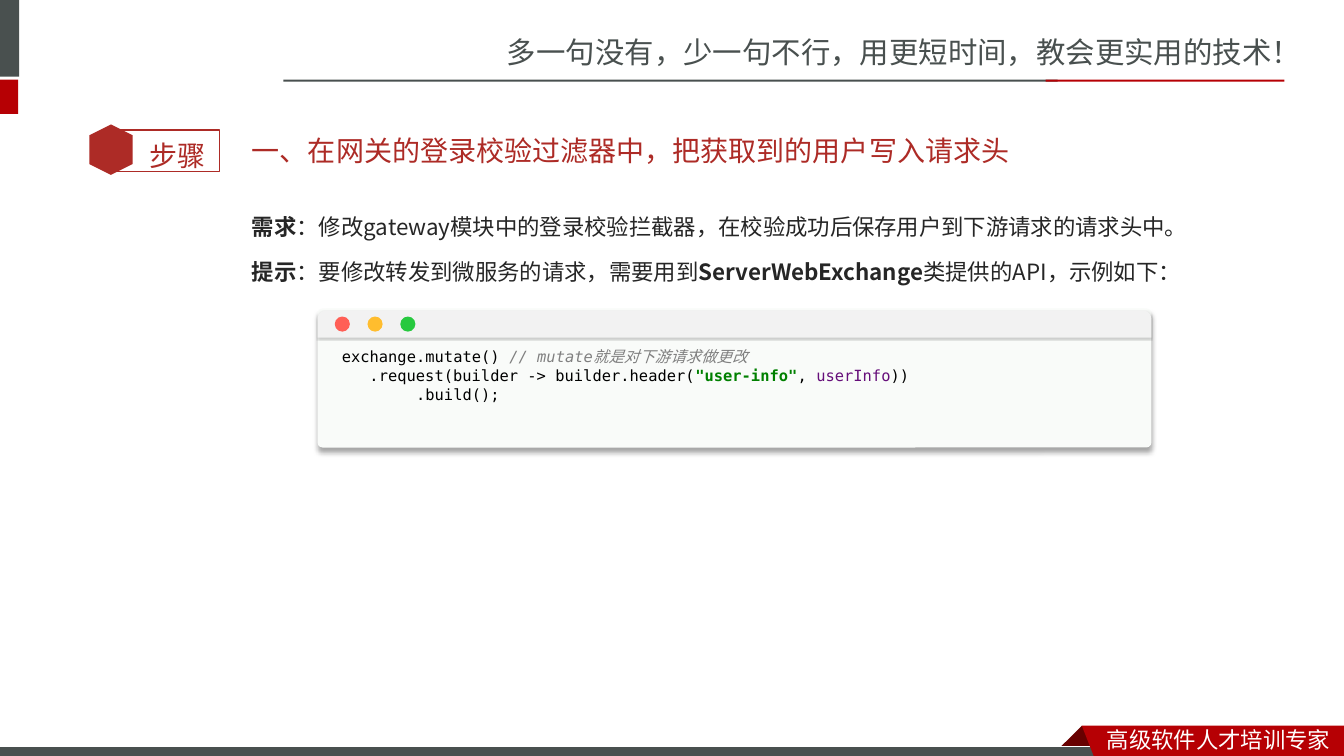
from dataclasses import dataclass
from typing import Optional

from lxml import etree
from pptx import Presentation
from pptx.dml.color import RGBColor
from pptx.enum.shapes import MSO_SHAPE
from pptx.enum.text import MSO_ANCHOR
from pptx.oxml.ns import qn
from pptx.util import Inches, Pt

RECT, ROUNDED = MSO_SHAPE.RECTANGLE, MSO_SHAPE.ROUNDED_RECTANGLE
TOP_ROUNDED, HEXAGON = MSO_SHAPE.ROUND_2_SAME_RECTANGLE, MSO_SHAPE.HEXAGON
OVAL = MSO_SHAPE.OVAL
TOP, MIDDLE = MSO_ANCHOR.TOP, MSO_ANCHOR.MIDDLE


@dataclass(frozen=True)
class Theme:
    slate: str = "49504F"
    red: str = "B60004"
    dark_red: str = "680000"
    brick: str = "AD2B26"
    white: str = "FFFFFF"
    ink: str = "262626"
    black: str = "000000"
    comment: str = "808080"
    string: str = "008000"
    variable: str = "660E7A"
    window: str = "F9FBF9"
    title_bar: str = "F2F2F2"
    buttons: tuple[str, ...] = ("FF5F56", "FFBD2E", "27C93F")
    sans: str = "Noto Sans CJK SC"
    body: str = "Noto Sans CJK JP"
    heading: str = "Calibri"
    label: str = "Lato"
    mono: str = "DejaVu Sans Mono"
    mono_comment: str = "Courier New"
    slogan_size: float = 21
    heading_size: float = 20
    body_size: float = 16
    code_size: float = 11


@dataclass(frozen=True)
class Box:
    left: float
    top: float
    width: float
    height: float


@dataclass(frozen=True)
class Shadow:
    alpha: int
    blur: float
    distance: float


@dataclass(frozen=True)
class Piece:
    """A stretch of text in one style; a line break may follow it."""
    text: str
    font: str
    size: float
    color: str
    bold: bool = False
    italic: bool = False
    east_asian: Optional[str] = None
    breaks: bool = False


THEME = Theme()


def add_shadow(shape, shadow: Shadow) -> None:
    effects = shape._element.spPr.find(qn("a:effectLst"))
    outer = etree.SubElement(effects, qn("a:outerShdw"), blurRad=str(Pt(shadow.blur)),
                             dist=str(Pt(shadow.distance)), dir="5400000",
                             algn="t", rotWithShape="0")
    color = etree.SubElement(outer, qn("a:srgbClr"), val=THEME.black)
    etree.SubElement(color, qn("a:alpha"), val=str(shadow.alpha * 1000))


def paint(shape, fill: Optional[str], line: Optional[str] = None,
          line_width: float = 1) -> None:
    shape.shadow.inherit = False
    if fill:
        shape.fill.solid()
        shape.fill.fore_color.rgb = RGBColor.from_string(fill)
    else:
        shape.fill.background()
    if line:
        shape.line.color.rgb = RGBColor.from_string(line)
        shape.line.width = Pt(line_width)
    else:
        shape.line.fill.background()


def draw(slide, preset, box: Box, fill: Optional[str], line: Optional[str] = None,
         line_width: float = 1, shadow: Optional[Shadow] = None):
    shape = slide.shapes.add_shape(preset, Inches(box.left), Inches(box.top),
                                   Inches(box.width), Inches(box.height))
    paint(shape, fill, line, line_width)
    if shadow:
        add_shadow(shape, shadow)
    return shape


def draw_polygon(slide, points: list[tuple[float, float]], fill: str) -> None:
    corners = [(Inches(x), Inches(y)) for x, y in points]
    builder = slide.shapes.build_freeform(*corners[0], scale=1.0)
    builder.add_line_segments(corners[1:], close=True)
    paint(builder.convert_to_shape(), fill)


def write(slide, box: Box, lines: list[list[Piece]], anchor=TOP,
          spacing=None, side_inset: float = 0.1) -> None:
    """Write one paragraph per list of pieces."""
    frame = slide.shapes.add_textbox(Inches(box.left), Inches(box.top),
                                     Inches(box.width), Inches(box.height)).text_frame
    frame.word_wrap = True
    frame.vertical_anchor = anchor
    frame.margin_left = frame.margin_right = Inches(side_inset)
    for index, pieces in enumerate(lines):
        paragraph = frame.add_paragraph() if index else frame.paragraphs[0]
        paragraph.line_spacing = spacing
        for piece in pieces:
            run = paragraph.add_run()
            run.text = piece.text
            run.font.size = Pt(piece.size)
            run.font.bold = piece.bold
            run.font.italic = piece.italic
            run.font.color.rgb = RGBColor.from_string(piece.color)
            run.font.name = piece.font
            etree.SubElement(run.font._element, qn("a:ea"),
                             typeface=piece.east_asian or piece.font)
            if piece.breaks:
                paragraph.add_line_break()


def draw_page_frame(slide) -> None:
    write(slide, Box(4.93, 0.28, 8.41, 0.47),
          [[Piece("多一句没有，少一句不行，用更短时间，教会更实用的技术！",
                  THEME.sans, THEME.slogan_size, THEME.slate)]], MIDDLE)
    for box, color in ((Box(-0.06, 0, 0.25, 0.76), THEME.slate),
                       (Box(-0.06, 0.79, 0.24, 0.34), THEME.red),
                       (Box(2.81, 0.79, 7.68, 0.02), THEME.slate),
                       (Box(10.37, 0.79, 2.37, 0.02), THEME.red)):
        draw(slide, RECT, box, color)
    draw_polygon(slide, [(10.73, 7.2), (10.95, 7.42), (10.94, 7.43),
                         (10.52, 7.43), (10.51, 7.42)], THEME.dark_red)
    draw(slide, RECT, Box(-0.01, 7.41, 11, 0.12), THEME.slate, THEME.white, 0.75)
    draw_polygon(slide, [(10.73, 7.2), (13.33, 7.2), (13.33, 7.54), (10.86, 7.53)],
                 THEME.red)
    write(slide, Box(10.88, 7.15, 2.45, 0.37),
          [[Piece("高级软件人才培训专家", THEME.sans, THEME.body_size, THEME.white)]], MIDDLE)


def draw_step(slide) -> None:
    draw(slide, RECT, Box(1.09, 1.29, 1.09, 0.41), None, THEME.brick)
    draw(slide, HEXAGON, Box(0.85, 1.27, 0.5, 0.43), THEME.brick).rotation = 90
    write(slide, Box(1.38, 1.16, 0.85, 0.56),
          [[Piece("步骤", THEME.label, THEME.heading_size, THEME.brick)]], spacing=1.5)
    write(slide, Box(2.4, 1.21, 10.08, 0.57),
          [[Piece("一、在网关的登录校验过滤器中，把获取到的用户写入请求头",
                  THEME.heading, THEME.heading_size, THEME.brick)]], MIDDLE)


def write_task(slide) -> None:
    def words(text: str, bold: bool = False) -> Piece:
        return Piece(text, THEME.body, THEME.body_size, THEME.ink, bold)

    write(slide, Box(2.4, 1.89, 10.08, 4.61), [
        [words("需求", True),
         words("：修改gateway模块中的登录校验拦截器，在校验成功后保存用户到下游请求的请求头中。")],
        [words("提示", True), words("：要修改转发到微服务的请求，需要用到"),
         words("ServerWebExchange", True), words("类提供的API，示例如下：")],
    ], spacing=Pt(32))


def draw_code_window(slide) -> None:
    def code(text: str, color: str = THEME.black, font: str = THEME.mono, **style) -> Piece:
        return Piece(text, font, THEME.code_size, color, east_asian=THEME.sans, **style)

    window = draw(slide, ROUNDED, Box(3.15, 3.06, 8.27, 1.38), THEME.window,
                  shadow=Shadow(34, 4, 3))
    window.adjustments[0] = 0.036
    write(slide, Box(3.15, 3.39, 8.16, 0.66), [[
        code("exchange.mutate() "),
        code("// mutate", THEME.comment, italic=True),
        code("就是对下游请求做更改", THEME.comment, THEME.mono_comment, italic=True, breaks=True),
        code("        ", THEME.comment, THEME.mono_comment, italic=True),
        code(".request(builder -> builder.header("),
        code('"user-info"', THEME.string, bold=True),
        code(", "), code("userInfo", THEME.variable), code("))", breaks=True),
        code("        .build();"),
    ]], spacing=Pt(13.5), side_inset=0.24)
    title_bar = draw(slide, TOP_ROUNDED, Box(3.15, 3.08, 8.27, 0.27), THEME.title_bar,
                     shadow=Shadow(20, 1, 1))
    title_bar.adjustments[0] = 0.3
    for index, color in enumerate(THEME.buttons):
        draw(slide, OVAL, Box(3.32 + 0.325 * index, 3.14, 0.15, 0.15), color)


def main() -> None:
    deck = Presentation()
    deck.slide_width, deck.slide_height = Inches(13.33), Inches(7.5)
    slide = deck.slides.add_slide(deck.slide_layouts[6])
    draw_page_frame(slide)
    draw_step(slide)
    write_task(slide)
    draw_code_window(slide)
    deck.save("out.pptx")


if __name__ == "__main__":
    main()
